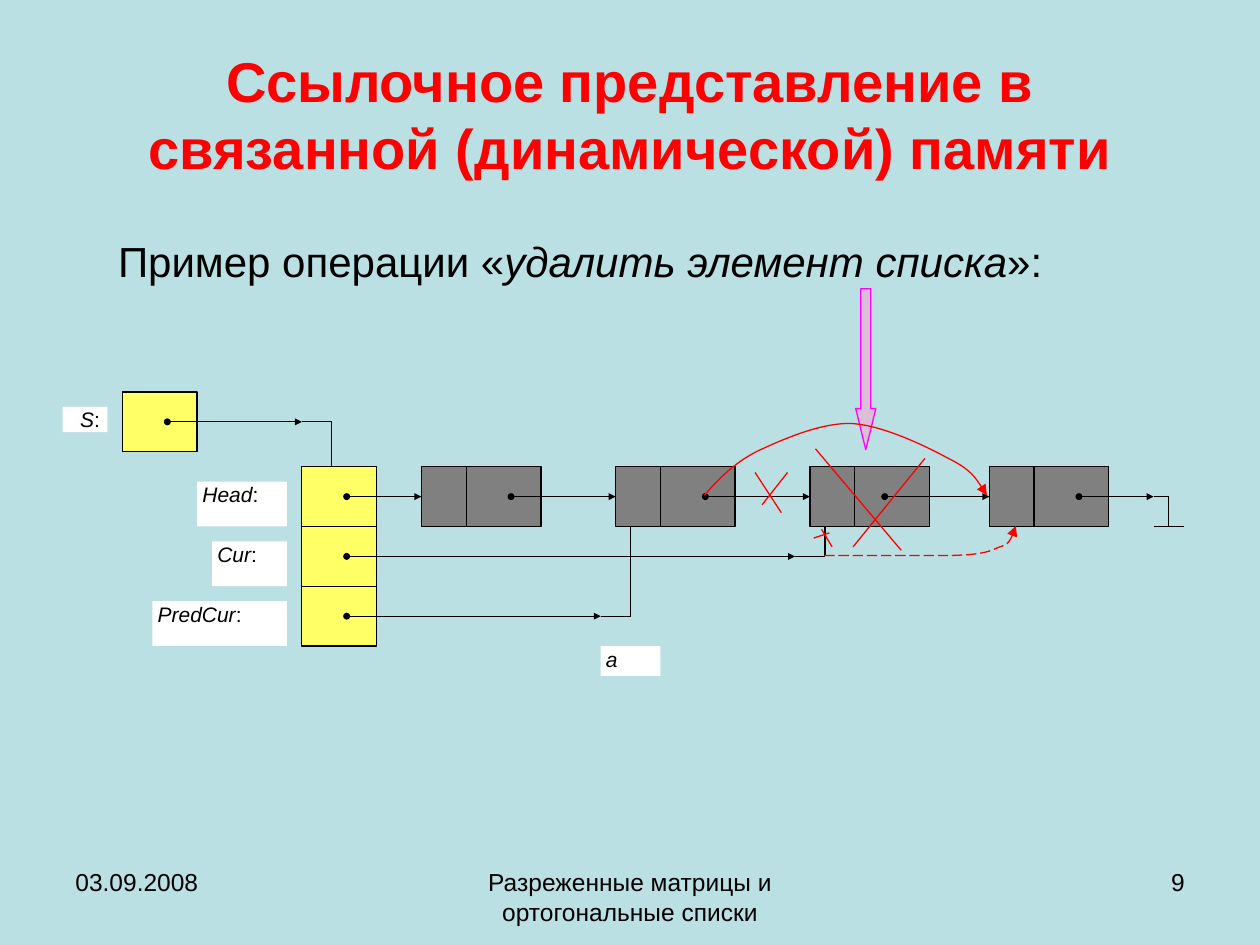
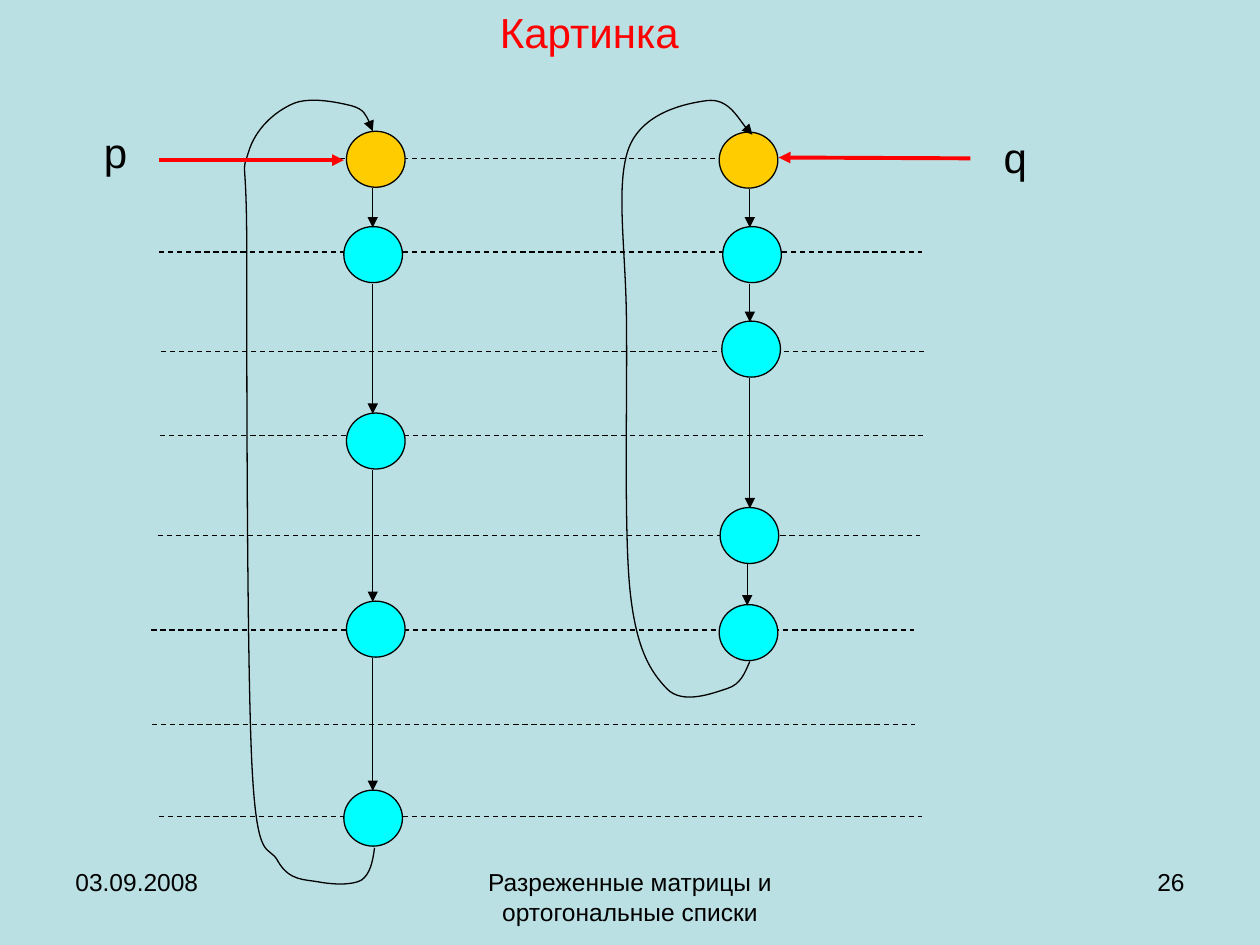
"""Build two slides on linked lists: deleting an element and two ring lists."""
from lxml import etree
from pptx import Presentation
from pptx.dml.color import RGBColor
from pptx.enum import dml, shapes, text
from pptx.oxml import ns
from pptx.util import Pt

BLACK, RED, WHITE = "000000", "FF0000", "FFFFFF"
BACKGROUND, YELLOW, GRAY = "BBE0E3", "FFFF66", "808080"
GOLD, CYAN, MAGENTA, PINK = "FFCC00", "00FFFF", "FF00FF", "FF99CC"
LEFT, CENTER, RIGHT = text.PP_ALIGN.LEFT, text.PP_ALIGN.CENTER, text.PP_ALIGN.RIGHT
DASH, LONG_DASH = dml.MSO_LINE.DASH, dml.MSO_LINE.LONG_DASH
STRAIGHT = shapes.MSO_CONNECTOR.STRAIGHT
RECTANGLE, OVAL = shapes.MSO_SHAPE.RECTANGLE, shapes.MSO_SHAPE.OVAL
rgb = RGBColor.from_string


def style_line(shape, color=BLACK, width=0.75, dash=None, head=None, tail=None, size="med"):
    """Set the outline, arrowheads and absence of shadow."""
    shape.line.color.rgb = rgb(color)
    shape.line.width = Pt(width)
    if dash:
        shape.line.dash_style = dash
    properties = shape._element.spPr
    outline = properties.find(ns.qn("a:ln"))
    for tag, kind in (("a:headEnd", head), ("a:tailEnd", tail)):
        if kind:
            etree.SubElement(outline, ns.qn(tag), type=kind, w=size, len=size)
    etree.SubElement(properties, ns.qn("a:effectLst"))


def add_text(slide, box, runs, size, color=BLACK, align=LEFT, bold=False,
             insets=(7.2, 3.6, 7.2, 3.6), wrap=True, anchor=text.MSO_ANCHOR.TOP):
    """Add a text box; runs are (words, italic) pairs."""
    shape = slide.shapes.add_textbox(*map(Pt, box))
    frame = shape.text_frame
    left, top, right, bottom = map(Pt, insets)
    frame_format = {"word_wrap": wrap, "vertical_anchor": anchor, "margin_left": left,
                    "margin_top": top, "margin_right": right, "margin_bottom": bottom}
    for name, value in frame_format.items():
        setattr(frame, name, value)
    paragraph = frame.paragraphs[0]
    paragraph.alignment = align
    for words, italic in runs:
        run = paragraph.add_run()
        run.text = words
        run.font.color.rgb = rgb(color)
        font_format = {"name": "Arial", "size": Pt(size), "bold": bold, "italic": italic}
        for name, value in font_format.items():
            setattr(run.font, name, value)
    return shape


presentation = Presentation()
presentation.slide_width, presentation.slide_height = Pt(720), Pt(540)
slides = []
for number in ("9", "26"):
    slide = presentation.slides.add_slide(presentation.slide_layouts[6])
    slide.background.fill.solid()
    slide.background.fill.fore_color.rgb = rgb(BACKGROUND)
    for left, width, words, align in (
        (36, 168, "03.09.2008", LEFT),
        (246, 228, "Разреженные матрицы и ортогональные списки", CENTER),
        (516, 168, number, RIGHT),
    ):
        add_text(slide, (left, 492, width, 37.5), [(words, False)], 14, align=align)
    slides.append(slide)
deletion, rings = slides

add_text(deletion, (36, 21.6, 648, 86.4),
         [("Ссылочное представление в связанной (динамической) памяти", False)],
         32, RED, CENTER, bold=True, anchor=text.MSO_ANCHOR.MIDDLE)
add_text(deletion, (56.5, 131, 550, 36),
         [("Пример операции «", False), ("удалить элемент списка", True), ("»:", False)],
         24, align=CENTER, wrap=False)

UNIT, ORIGIN_X, ORIGIN_Y = 17.08, 70, 224
NODES = (10, 16.5, 23, 29)
cells = [(0, 0, 2.5, YELLOW)]
cells += [(6, row, 2.5, YELLOW) for row in (2.5, 4.5, 6.5)]
cells += [(column, 2.5, 4, GRAY) for column in NODES]
for column, row, width, color in cells:
    cell = deletion.shapes.add_shape(
        RECTANGLE, Pt(ORIGIN_X + column * UNIT), Pt(ORIGIN_Y + row * UNIT),
        Pt(width * UNIT), Pt(2 * UNIT))
    cell.fill.solid()
    cell.fill.fore_color.rgb = rgb(color)
    style_line(cell)

pointers = [
    (1.5, 1, 6, 1), (7.5, 3.5, 10, 3.5), (7.5, 5.5, 22.5, 5.5), (7.5, 7.5, 16, 7.5),
    (13, 3.5, 16.5, 3.5), (19.5, 3.5, 23, 3.5), (25.5, 3.5, 29, 3.5), (32, 3.5, 34.5, 3.5),
]
plain_lines = [
    (6, 1, 7, 1), (7, 1, 7, 2.5),
    (16, 7.5, 17, 7.5), (17, 7.5, 17, 4.5),
    (22.5, 5.5, 23.5, 5.5), (23.5, 5.5, 23.5, 4.5),
    (34.5, 3.5, 35, 3.5), (35, 3.5, 35, 4.5), (34.5, 4.5, 35.5, 4.5),
]
plain_lines += [(column + 1.5, 2.5, column + 1.5, 4.5) for column in NODES]
for lines, ends in ((pointers, {"head": "oval", "tail": "triangle", "size": "sm"}),
                    (plain_lines, {})):
    for x1, y1, x2, y2 in lines:
        line = deletion.shapes.add_connector(
            STRAIGHT, Pt(ORIGIN_X + x1 * UNIT), Pt(ORIGIN_Y + y1 * UNIT),
            Pt(ORIGIN_X + x2 * UNIT), Pt(ORIGIN_Y + y2 * UNIT))
        style_line(line, **ends)

for column, row, width, height, name, colon, inset in (
    (-2, 0.5, 1.5, 0.85, "S", ":", 10),
    (2.5, 3, 3, 1.5, "Head", ":", 3),
    (3, 5, 2.5, 1.5, "Cur", ":", 3),
    (1, 7, 4.5, 1.5, "PredCur", ":", 3),
    (16, 8.5, 2, 1, "а", "", 3),
):
    box = (ORIGIN_X + column * UNIT, ORIGIN_Y + row * UNIT, width * UNIT, height * UNIT)
    runs = [(words, words == name) for words in (name, colon) if words]
    label = add_text(deletion, box, runs, 12, insets=(inset, 0, 0, 0))
    label.fill.solid()
    label.fill.fore_color.rgb = rgb(WHITE)

for x1, y1, x2, y2 in (
    (528.5, 262, 487.5, 312.5), (466, 256.5, 515, 314.5),
    (450, 270, 435.5, 288.5), (431.5, 270, 446.5, 293),
    (474, 304.5, 465, 307.5), (469.5, 302.5, 475.5, 312.5),
):
    cross_stroke = deletion.shapes.add_connector(STRAIGHT, Pt(x1), Pt(y1), Pt(x2), Pt(y2))
    style_line(cross_stroke, RED)

deleted_arrow = deletion.shapes.add_shape(
    shapes.MSO_SHAPE.DOWN_ARROW, Pt(489), Pt(165), Pt(11.5), Pt(92))
deleted_arrow.adjustments[0] = 0.5
deleted_arrow.adjustments[1] = 2.05
deleted_arrow.fill.solid()
deleted_arrow.fill.fore_color.rgb = rgb(PINK)
pink = deleted_arrow._element.spPr.find(ns.qn("a:solidFill"))[0]
etree.SubElement(pink, ns.qn("a:alpha"), val="47000")
style_line(deleted_arrow, MAGENTA)

for left, y in ((91, 466.5), (91, 90.5), (86.5, 360), (90, 306), (91.5, 249),
                (92, 201), (91, 144), (87, 414)):
    level = rings.shapes.add_connector(STRAIGHT, Pt(left), Pt(y), Pt(left + 436), Pt(y))
    style_line(level, dash=DASH)

NODE_WIDTH, NODE_HEIGHT = 33.5, 32
left_ring = [(198, 75), (196.5, 129.5), (198, 236), (198, 343.5), (196.5, 451.5)]
right_ring = [(411, 75.5), (413, 129.5), (412.5, 183.5), (411.5, 290), (411, 345.5)]
for ring, arrow_columns in ((left_ring, [213] * 4), (right_ring, [428.5] * 3 + [427])):
    for index, (left, top) in enumerate(ring):
        node = rings.shapes.add_shape(OVAL, Pt(left), Pt(top), Pt(NODE_WIDTH), Pt(NODE_HEIGHT))
        node.fill.solid()
        node.fill.fore_color.rgb = rgb(CYAN if index else GOLD)
        style_line(node)
    for x, (_, upper), (_, lower) in zip(arrow_columns, ring, ring[1:]):
        arrow = rings.shapes.add_connector(
            STRAIGHT, Pt(x), Pt(upper + NODE_HEIGHT + 0.5), Pt(x), Pt(lower + 0.5))
        style_line(arrow, tail="triangle")

bypass = [(402.5, 283), (411, 273.5), (419, 265), (432.5, 258), (446.5, 251.5),
          (467.5, 242), (485.5, 242), (503.5, 242.5), (529, 255), (542, 262),
          (555, 268.5), (559.5, 276), (564, 283)]
moved_cursor = [(471, 317.5), (498, 317.5), (525.5, 317.5), (542, 317.5), (558.5, 317),
                (564, 316), (570, 313), (577, 311), (579, 305.5), (580.5, 300.5)]
right_loop = [(428.5, 378), (425.5, 384.5), (423.5, 391), (415.5, 393.5), (407.5, 396),
              (390, 403), (381, 393.5), (372, 384), (363.5, 371.5), (360, 337),
              (356.5, 302.5), (358.5, 228), (358, 186.5), (358, 144.5), (351.5, 107.5),
              (359, 85.5), (366.5, 64), (392.5, 59), (404, 57.5), (416, 56),
              (425.5, 73.5), (430, 77)]
left_loop = [(214, 484.5), (213, 492.5), (211.5, 499.5), (206.5, 503), (201, 506),
             (190, 505.5), (182, 504), (174, 502.5), (165.5, 503.5), (159, 492.5),
             (153.5, 481.5), (147, 496), (144, 438), (141, 379.5), (141, 201.5),
             (141, 143.5), (141, 85), (137.5, 101.5), (142, 87), (146, 73.5),
             (157, 64), (167, 59.5), (176.5, 55), (193, 58.5), (201, 60.5),
             (208, 62.5), (211, 69), (213, 75)]
for slide, points, color, dash in (
    (deletion, bypass, RED, None), (deletion, moved_cursor, RED, LONG_DASH),
    (rings, right_loop, BLACK, None), (rings, left_loop, BLACK, None),
):
    start, *controls = [(Pt(x), Pt(y)) for x, y in points]
    builder = slide.shapes.build_freeform(*start)
    builder.add_line_segments(controls, close=False)
    curve = builder.convert_to_shape()
    segments = list(curve._element.iter(ns.qn("a:lnTo")))
    outline_path = segments[0].getparent()
    for first in range(0, len(segments), 3):
        bezier = etree.SubElement(outline_path, ns.qn("a:cubicBezTo"))
        for segment in segments[first:first + 3]:
            bezier.append(segment[0])
            outline_path.remove(segment)
    curve.fill.background()
    style_line(curve, color, dash=dash, tail="triangle")

for x1, y1, x2, y2 in ((91, 91.5, 196.5, 91.5), (554.5, 90.5, 445, 90)):
    entry = rings.shapes.add_connector(STRAIGHT, Pt(x1), Pt(y1), Pt(x2), Pt(y2))
    style_line(entry, RED, 2.25, tail="triangle")
for box, words, color in (
    ((248.5, 0, 176.5, 36), "Картинка", RED),
    ((42.5, 68.5, 47, 36), "p", BLACK),
    ((554, 71.5, 52.5, 36), "q", BLACK),
):
    add_text(rings, box, [(words, False)], 24, color, CENTER)

presentation.save("out.pptx")
